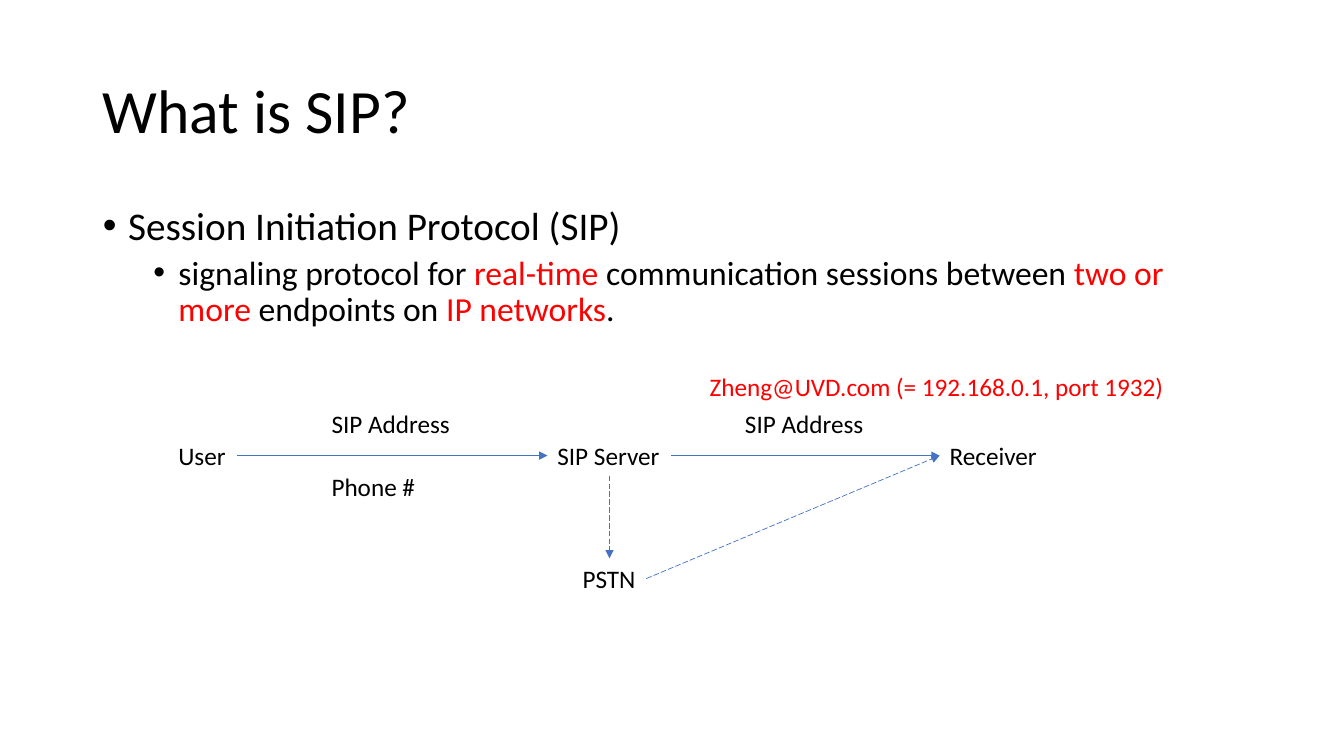
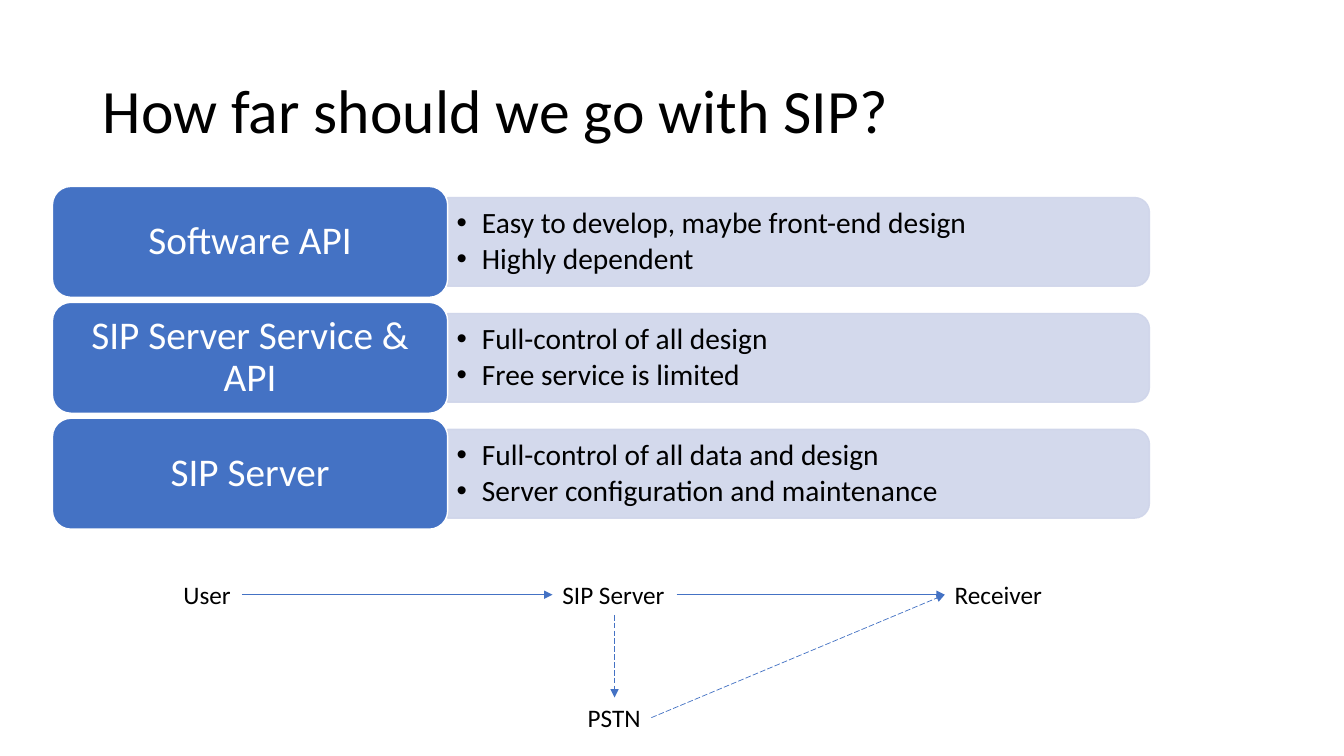
from lxml.etree import SubElement
from pptx import Presentation
from pptx.dml.color import RGBColor
from pptx.enum.dml import MSO_LINE
from pptx.enum.shapes import MSO_CONNECTOR, MSO_SHAPE
from pptx.enum.text import MSO_ANCHOR, MSO_AUTO_SIZE, PP_ALIGN
from pptx.oxml.ns import qn
from pptx.util import Inches, Pt

FONT = "Calibri"
BLACK, WHITE, RED = "000000", "FFFFFF", "FF0000"
BLUE, PALE = "4472C4", "CFD5EA"
LEFT, WIDE = 0.92, 11.5


def hue(code):
    return RGBColor.from_string(code)


def place(shape, left, top, width, height):
    shape.left, shape.top = Inches(left), Inches(top)
    shape.width, shape.height = Inches(width), Inches(height)


def inset(frame, side, end):
    frame.margin_left = frame.margin_right = Inches(side)
    frame.margin_top = frame.margin_bottom = Inches(end)


def write(para, text, size=18, color=BLACK, align=PP_ALIGN.LEFT,
          space=1.0, before=0, after=0, level=0, bullet=None):
    para.alignment, para.line_spacing = align, space
    para.space_before, para.space_after = Pt(before), Pt(after)
    para.level = level
    if bullet is not None:
        props = para._p.get_or_add_pPr()
        props.set("marL", str(Inches(bullet)))
        props.set("indent", str(Inches(-0.25)))
        SubElement(props, qn("a:buFont")).set("typeface", "Arial")
        SubElement(props, qn("a:buChar")).set("char", "•")
    parts = [(text, color)] if isinstance(text, str) else text
    for words, tone in parts:
        run = para.add_run()
        run.text = words
        run.font.name, run.font.size = FONT, Pt(size)
        run.font.color.rgb = hue(tone)


def fade(shape):
    for tone in shape._element.spPr.iter(qn("a:srgbClr")):
        SubElement(tone, qn("a:alpha")).set("val", "90000")


def start(deck, layout, title):
    slide = deck.slides.add_slide(deck.slide_layouts[layout])
    head = slide.shapes.title
    place(head, LEFT, 0.4, WIDE, 1.45)
    frame = head.text_frame
    frame.auto_size = MSO_AUTO_SIZE.NONE
    frame.vertical_anchor = MSO_ANCHOR.MIDDLE
    write(frame.paragraphs[0], title, size=44, space=0.9)
    return slide


def label(slide, text, left, top, width, color=BLACK):
    box = slide.shapes.add_textbox(
        Inches(left), Inches(top), Inches(width), Inches(0.4))
    box.text_frame.word_wrap = False
    box.text_frame.auto_size = MSO_AUTO_SIZE.SHAPE_TO_FIT_TEXT
    write(box.text_frame.paragraphs[0], text, color=color)
    return box


def link(slide, first, out, last, into, dash=False):
    line = slide.shapes.add_connector(MSO_CONNECTOR.STRAIGHT, 0, 0, 0, 0)
    line.begin_connect(first, out)
    line.end_connect(last, into)
    line.line.color.rgb, line.line.width = hue(BLUE), Pt(0.5)
    if dash:
        line.line.dash_style = MSO_LINE.LONG_DASH
    props = line._element.spPr
    SubElement(props.find(qn("a:ln")), qn("a:tailEnd")).set("type", "triangle")
    SubElement(props, qn("a:effectLst"))


def flow(slide, left, top):
    top_site, left_site, base_site, right_site = range(4)
    user = label(slide, "User", left, top, 0.68)
    server = label(slide, "SIP Server", left + 3.76, top, 1.23)
    target = label(slide, "Receiver", left + 7.65, top, 1.08)
    phone = label(slide, "PSTN", left + 4.01, top + 1.22, 0.73)
    link(slide, user, right_site, server, left_site)
    link(slide, server, right_site, target, left_site)
    link(slide, server, base_site, phone, top_site, dash=True)
    link(slide, phone, right_site, target, left_site, dash=True)


def row(slide, name, points, left, top, width, height):
    split = 3.92
    span, deep = width - split, height * 0.8
    mid = top + height / 2
    center = left + split + span / 2
    band = slide.shapes.add_shape(
        MSO_SHAPE.ROUND_2_SAME_RECTANGLE,
        Inches(center - deep / 2), Inches(mid - span / 2),
        Inches(deep), Inches(span))
    band.rotation = 90
    paint(band, PALE, PALE)
    fade(band)

    box = slide.shapes.add_textbox(
        Inches(left + split), Inches(mid - 0.4), Inches(span), Inches(0.8))
    frame = box.text_frame
    frame.word_wrap = True
    frame.vertical_anchor = MSO_ANCHOR.MIDDLE
    inset(frame, 0.09, 0.04)
    for num, point in enumerate(points):
        para = frame.add_paragraph() if num else frame.paragraphs[0]
        write(para, point, size=21, space=0.9, after=3, level=1, bullet=0.25)

    tile = slide.shapes.add_shape(
        MSO_SHAPE.ROUNDED_RECTANGLE,
        Inches(left), Inches(top), Inches(split), Inches(height))
    paint(tile, BLUE, WHITE)
    frame = tile.text_frame
    frame.word_wrap = True
    frame.vertical_anchor = MSO_ANCHOR.MIDDLE
    inset(frame, 0.17, 0.11)
    write(frame.paragraphs[0], name, size=28, color=WHITE,
          align=PP_ALIGN.CENTER, space=0.9)


def paint(shape, fill, edge):
    shape.shadow.inherit = False
    shape.fill.solid()
    shape.fill.fore_color.rgb = hue(fill)
    shape.line.color.rgb, shape.line.width = hue(edge), Pt(1)


def intro(deck):
    slide = start(deck, 1, "What is SIP?")
    body = slide.placeholders[1]
    place(body, LEFT, 2, WIDE, 4.76)
    frame = body.text_frame
    frame.auto_size = MSO_AUTO_SIZE.NONE
    write(frame.paragraphs[0], "Session Initiation Protocol (SIP)",
          size=28, space=0.9, before=10, bullet=0.25)
    write(frame.add_paragraph(), [
        ("signaling protocol for ", BLACK), ("real-time", RED),
        (" communication sessions between ", BLACK), ("two or more ", RED),
        ("endpoints on ", BLACK), ("IP networks", RED), (".", BLACK),
    ], size=24, space=0.9, before=5, level=1, bullet=0.75)
    flow(slide, 1.67, 4.32)
    for left in (3.19, 7.29):
        label(slide, "SIP Address", left, 4, 1.39)
    label(slide, "Phone #", 3.19, 4.63, 1.04)
    label(slide, "Zheng@UVD.com (= 192.168.0.1, port 1932)",
          6.94, 3.63, 4.83, color=RED)


def scope(deck):
    slide = start(deck, 5, "How far should we go with SIP?")
    rows = [
        ("Software API",
         ["Easy to develop, maybe front-end design", "Highly dependent"]),
        ("SIP Server Service & API",
         ["Full-control of all design", "Free service is limited"]),
        ("SIP Server",
         ["Full-control of all data and design",
          "Server configuration and maintenance"]),
    ]
    for num, (name, points) in enumerate(rows):
        row(slide, name, points, 0.52, 1.85 + num * 1.15, 10.88, 1.1)
    flow(slide, 1.72, 5.7)


def main():
    deck = Presentation()
    deck.slide_width, deck.slide_height = Inches(13.33), Inches(7.5)
    intro(deck)
    scope(deck)
    deck.save("out.pptx")


if __name__ == "__main__":
    main()
